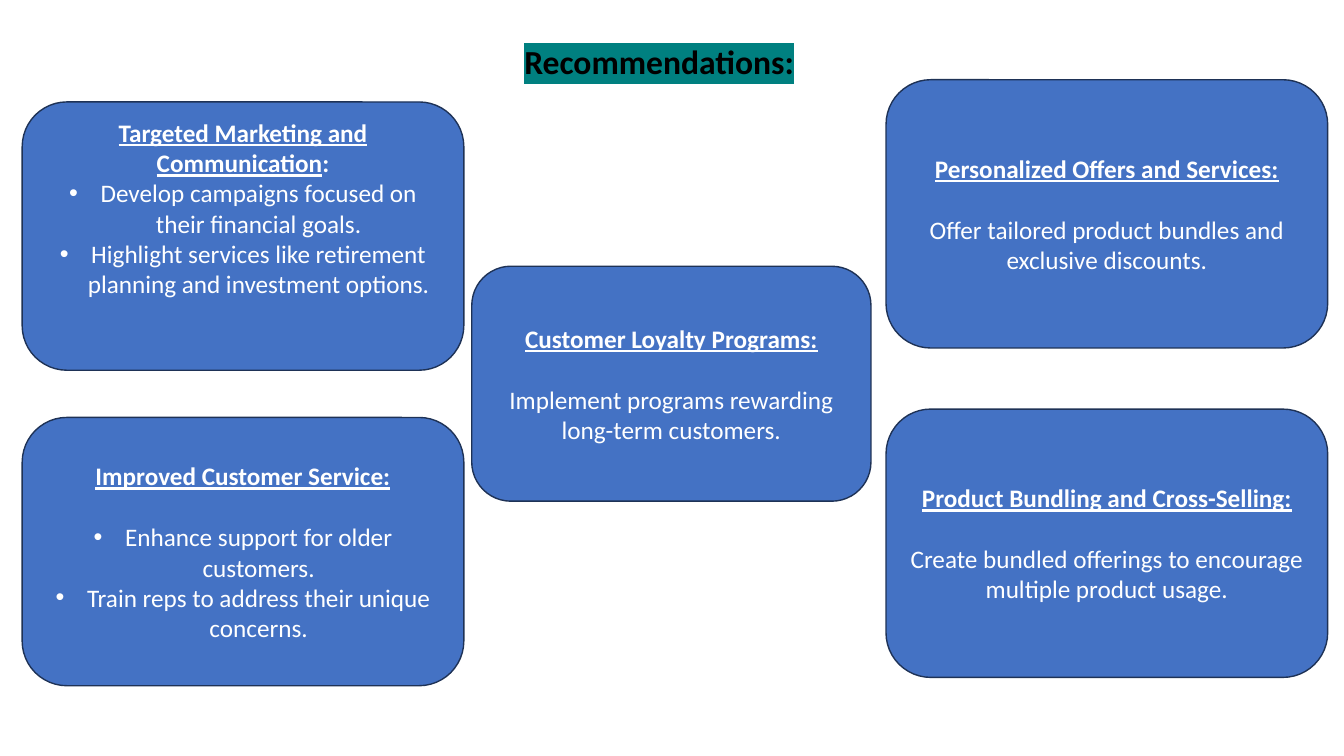
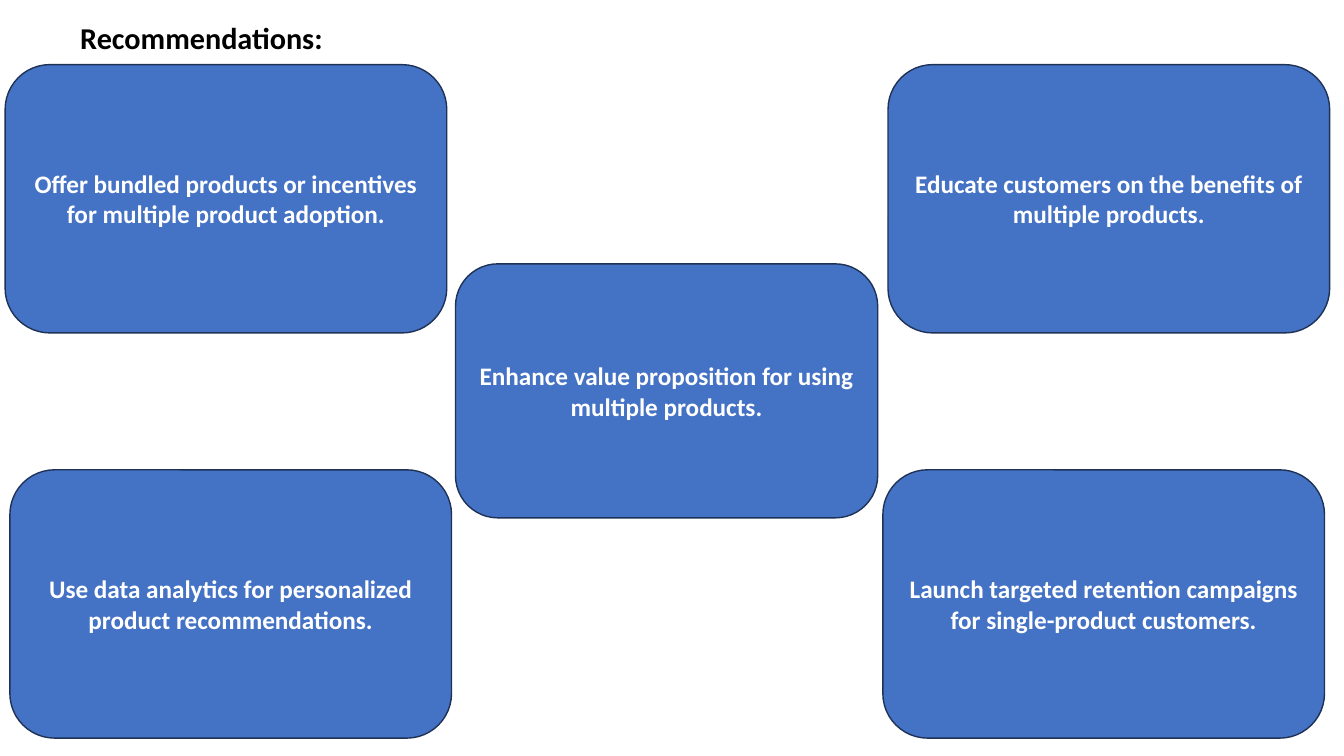
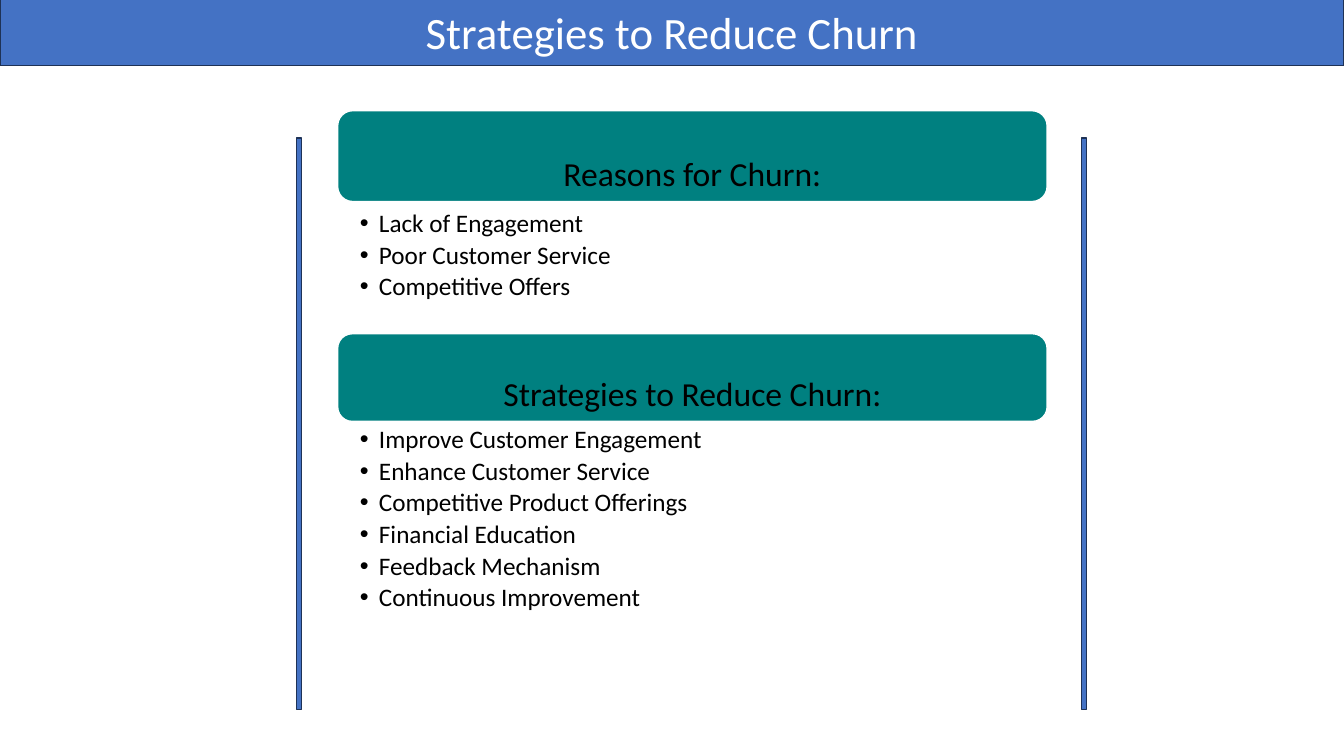
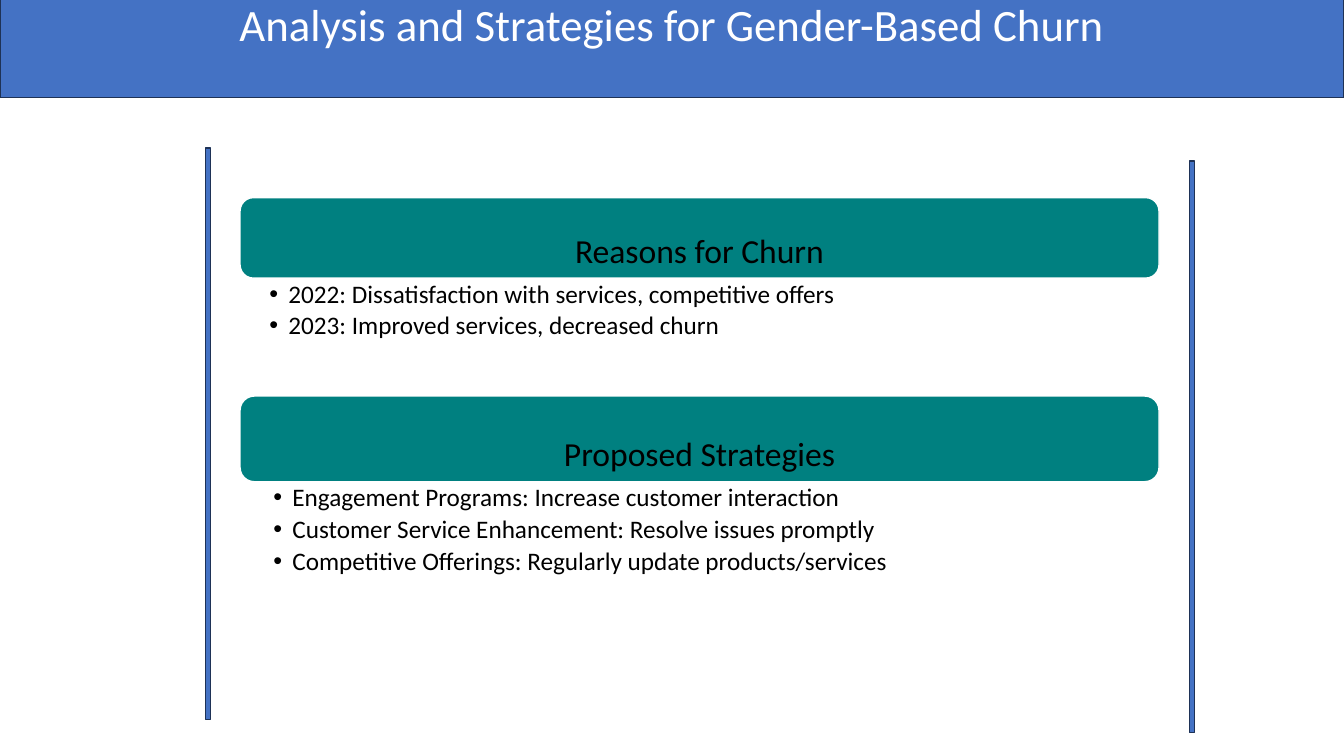
from dataclasses import dataclass

from lxml import etree
from pptx import Presentation
from pptx import util as u
from pptx.dml.color import RGBColor
from pptx.enum import shapes, text
from pptx.oxml.ns import qn

Cm = u.Cm
TOP, MIDDLE, BOTTOM = text.MSO_ANCHOR.TOP, text.MSO_ANCHOR.MIDDLE, text.MSO_ANCHOR.BOTTOM
CENTER, LEFT = text.PP_ALIGN.CENTER, text.PP_ALIGN.LEFT
TITLE_ONLY, TWO_LISTS = 5, 3


@dataclass(frozen=True)
class Theme:
    font: str = "Calibri"
    blue: str = "4472C4"
    navy: str = "1E3256"
    teal: str = "008080"
    black: str = "000000"
    white: str = "FFFFFF"
    body_size: float = 18
    heading_size: float = 24
    banner_size: float = 32


class Deck:
    def __init__(self, theme):
        self.theme = theme
        self.presentation = Presentation()
        self.presentation.slide_width = Cm(33.87)
        self.presentation.slide_height = Cm(19.05)
        self.slide = None

    def new_slide(self, layout):
        self.slide = self.presentation.slides.add_slide(self.presentation.slide_layouts[layout])

    def place(self, shape, at):
        shape.left, shape.top, shape.width, shape.height = map(Cm, at)

    def paint(self, shape, fill, line):
        shape.fill.solid()
        shape.fill.fore_color.rgb = RGBColor.from_string(fill)
        shape.line.color.rgb = RGBColor.from_string(line)
        shape.line.width = u.Pt(1)

    def box(self, kind, at, fill, line):
        shape = self.slide.shapes.add_shape(kind, *map(Cm, at))
        shape.shadow.inherit = False
        self.paint(shape, fill, line)
        return shape

    def frame(self, shape, anchor, margins=(0.25, 0.13, 0.25, 0.13)):
        frame = shape.text_frame
        frame.word_wrap = True
        frame.auto_size = text.MSO_AUTO_SIZE.NONE
        frame.vertical_anchor = anchor
        (frame.margin_left, frame.margin_top,
         frame.margin_right, frame.margin_bottom) = map(Cm, margins)
        return frame

    def style(self, paragraph, size, color, bold=False, align=CENTER):
        paragraph.alignment = align
        font = paragraph.font
        font.name, font.size, font.bold = self.theme.font, u.Pt(size), bold
        font.color.rgb = RGBColor.from_string(color)

    def bullet(self, paragraph, indent):
        properties = paragraph._p.get_or_add_pPr()
        properties.set("marL", str(Cm(indent)))
        properties.set("indent", str(-Cm(indent)))
        etree.SubElement(properties, qn("a:buFont")).set("typeface", "Arial")
        etree.SubElement(properties, qn("a:buChar")).set("char", "•")

    def highlight(self, run, color):
        mark = etree.SubElement(run._r.get_or_add_rPr(), qn("a:highlight"))
        etree.SubElement(mark, qn("a:srgbClr")).set("val", color)

    def title(self, at, words, size, highlighted=False):
        shape = self.slide.shapes.title
        self.place(shape, at)
        paragraph = self.frame(shape, TOP, (0, 0, 0, 0)).paragraphs[0]
        run = paragraph.add_run()
        run.text = words
        self.style(paragraph, size, self.theme.black, bold=True)
        if highlighted:
            self.highlight(run, self.theme.teal)

    def banner(self, words, height, anchor):
        shape = self.slide.shapes.title
        self.place(shape, (0, -0.08, 33.87, height))
        self.paint(shape, self.theme.blue, self.theme.navy)
        paragraph = self.frame(shape, anchor, (0.25, 0, 0.25, 0)).paragraphs[0]
        paragraph.text = words
        self.style(paragraph, self.theme.banner_size, self.theme.white)

    def panel(self, at, heading, lines=(), bulleted=False, underlined=True,
              plain_tail="", gap=22, bottom=0.13):
        shape = self.box(shapes.MSO_SHAPE.ROUNDED_RECTANGLE, at, self.theme.blue, self.theme.navy)
        frame = self.frame(shape, MIDDLE, (0.25, 0.13, 0.25, bottom))
        paragraph = frame.paragraphs[0]
        paragraph.text = heading
        self.style(paragraph, self.theme.body_size, self.theme.white, bold=True)
        paragraph.font.underline = underlined
        if plain_tail:
            run = paragraph.add_run()
            run.text = plain_tail
            run.font.underline = False
        if lines:
            paragraph.space_after = u.Pt(gap)
        for line in lines:
            paragraph = frame.add_paragraph()
            paragraph.text = line
            if bulleted:
                self.bullet(paragraph, 0.79)
            self.style(paragraph, self.theme.body_size, self.theme.white)

    def heading(self, at, words):
        shape = self.box(shapes.MSO_SHAPE.ROUNDED_RECTANGLE, at, self.theme.teal, self.theme.white)
        paragraph = self.frame(shape, BOTTOM, (0.1, 0.1, 0.1, 0.1)).paragraphs[0]
        paragraph.text = words
        self.style(paragraph, self.theme.heading_size, self.theme.black)

    def bullets(self, index, at, items, inset):
        shape = self.slide.placeholders[index]
        self.place(shape, at)
        frame = self.frame(shape, TOP, (inset, 0.08, 0.36, 0.08))
        for number, item in enumerate(items):
            paragraph = frame.add_paragraph() if number else frame.paragraphs[0]
            paragraph.text = item
            self.bullet(paragraph, 0.48)
            self.style(paragraph, self.theme.body_size, self.theme.black, align=LEFT)
            paragraph.line_spacing = 0.9
            paragraph.space_before = u.Pt(0)
            paragraph.space_after = u.Pt(3.2)

    def rail(self, left, top):
        self.box(shapes.MSO_SHAPE.RECTANGLE, (left, top, 0.13, 14.4),
                 self.theme.blue, self.theme.navy)

    def churn_slide(self, banner, sections, rails, inset):
        self.new_slide(TWO_LISTS)
        self.banner(*banner)
        for index, (words, heading_at, items, list_at) in enumerate(sections, 1):
            self.heading(heading_at, words)
            self.bullets(index, list_at, items, inset)
        for left, top in rails:
            self.rail(left, top)


def main():
    theme = Theme()
    deck = Deck(theme)
    panel_size = (11.13, 6.76)

    deck.new_slide(TITLE_ONLY)
    deck.title((12.95, 1.04, 7.32, 1.1), "Recommendations:", theme.heading_size, highlighted=True)
    left, right = 0.56, 22.33
    deck.panel((left, 2.57, *panel_size), "Targeted Marketing and Communication",
               ["Develop campaigns focused on their financial goals.",
                "Highlight services like retirement planning and investment options."],
               bulleted=True, plain_tail=":", gap=0, bottom=1.55)
    deck.panel((right, 2.01, *panel_size), "Personalized Offers and Services:",
               ["Offer tailored product bundles and exclusive discounts."])
    deck.panel((left, 10.52, *panel_size), "Improved Customer Service:",
               ["Enhance support for older customers.",
                "Train reps to address their unique concerns."], bulleted=True)
    deck.panel((right, 10.31, *panel_size), "Product Bundling and Cross-Selling:",
               ["Create bundled offerings to encourage multiple product usage."])
    deck.panel((11.89, 6.71, 10.06, 5.92), "Customer Loyalty Programs:",
               ["Implement programs rewarding long-term customers."])

    deck.new_slide(TITLE_ONLY)
    deck.title((0, 0.48, 10.16, 1.1), "Recommendations:", 21.6)
    for at, words in [
        ((0.13, 1.63, *panel_size),
         "Offer bundled products or incentives for multiple product adoption."),
        ((11.48, 6.65, 10.64, 6.4), "Enhance value proposition for using multiple products."),
        ((0.25, 11.84, *panel_size),
         "Use data analytics for personalized product recommendations."),
        ((22.25, 11.84, *panel_size),
         "Launch targeted retention campaigns for single-product customers."),
        ((22.38, 1.63, *panel_size), "Educate customers on the benefits of multiple products."),
    ]:
        deck.panel(at, words, underlined=False)

    deck.churn_slide(
        ("Strategies to Reduce Churn", 1.73, MIDDLE),
        [("Reasons for Churn:", (8.51, 2.79, 17.88, 2.29),
          ["Lack of Engagement", "Poor Customer Service", "Competitive Offers"],
          (8.51, 5.23, 17.88, 3.23)),
         ("Strategies to Reduce Churn:", (8.51, 8.41, 17.88, 2.21),
          ["Improve Customer Engagement", "Enhance Customer Service",
           "Competitive Product Offerings", "Financial Education",
           "Feedback Mechanism", "Continuous Improvement"],
          (8.51, 10.67, 17.88, 5.89))],
        rails=[(7.47, 3.48), (27.25, 3.48)], inset=0.56)

    deck.churn_slide(
        ("Analysis and Strategies for Gender-Based Churn", 2.54, TOP),
        [("Reasons for Churn", (6.05, 4.98, 23.16, 2.03),
          ["2022: Dissatisfaction with services, competitive offers",
           "2023: Improved services, decreased churn"],
          (6.05, 7.01, 23.16, 3)),
         ("Proposed Strategies", (6.05, 9.98, 23.16, 2.16),
          ["Engagement Programs: Increase customer interaction",
           "Customer Service Enhancement: Resolve issues promptly",
           "Competitive Offerings: Regularly update products/services"],
          (6.15, 12.14, 23.01, 4.75))],
        rails=[(5.18, 3.73), (29.97, 4.06)], inset=0.74)

    deck.presentation.save("out.pptx")


if __name__ == "__main__":
    main()
